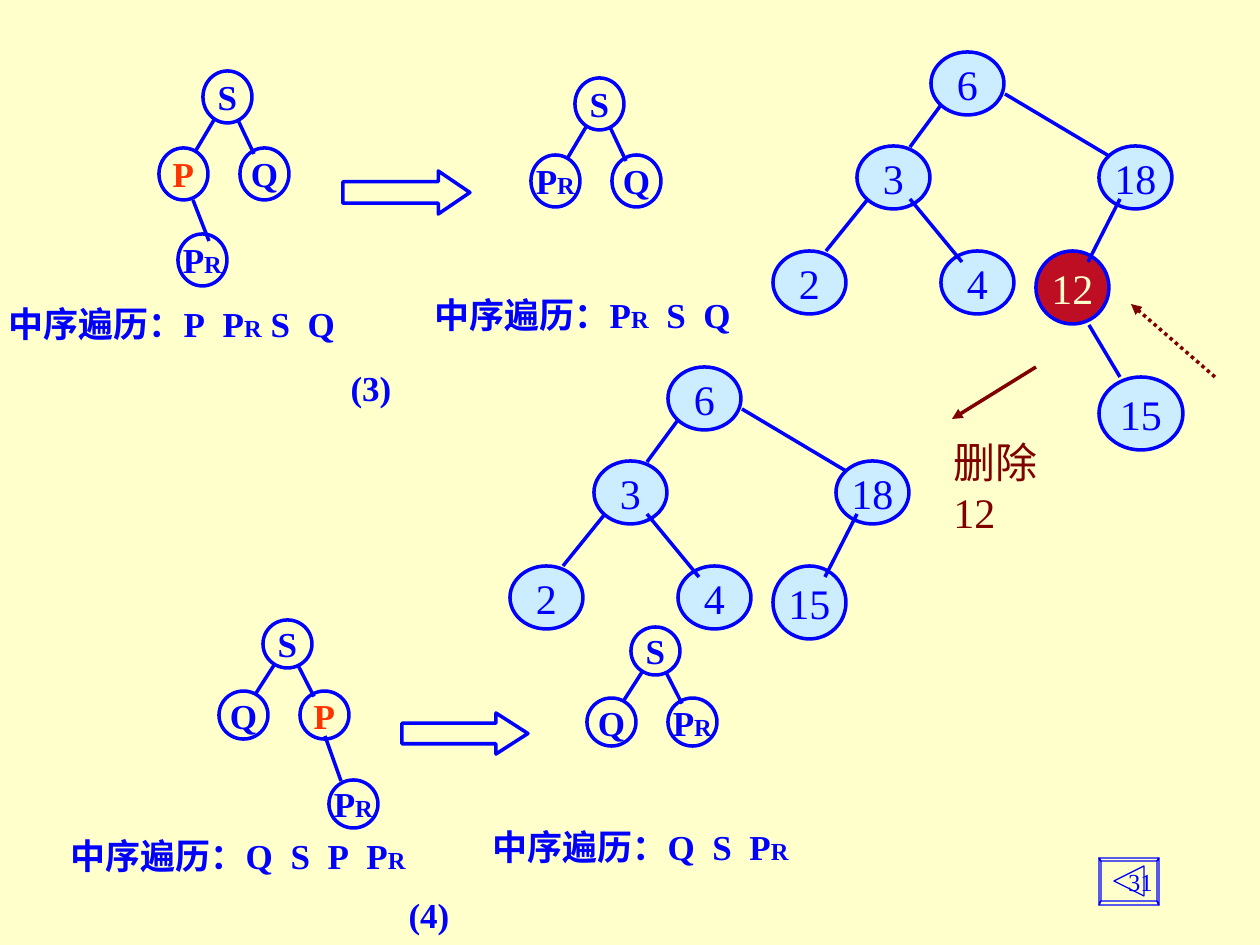
from lxml import etree
from pptx import Presentation
from pptx import util as u
from pptx.dml.color import RGBColor
from pptx.enum import dml, shapes, text
from pptx.oxml.ns import qn

PX = 914400 / 126
BLUE, RED, MAROON = "0000FF", "FF3300", "800000"
CREAM, SKY, CRIMSON = "FFFFCC", "CCECFF", "BE0E23"
GAP = chr(0x2002)  # en space between visited nodes
PR = ["P", "R"]


def emu(px):
    return u.Emu(round(px * PX))


def rgb(value):
    return RGBColor.from_string(value)


class Board:
    font = "Times New Roman"

    def __init__(self, slide):
        self.slide = slide

    def add_runs(self, shape, runs, size, color=BLUE, bold=False,
                 align=text.PP_ALIGN.CENTER, anchor=text.MSO_ANCHOR.MIDDLE, wrap=False):
        """Fill one paragraph; a run "R" is the small index letter."""
        frame = shape.text_frame
        frame.word_wrap = wrap
        frame.vertical_anchor = anchor
        paragraph = frame.paragraphs[0]
        paragraph.alignment = align
        for part in runs:
            run = paragraph.add_run()
            run.text = part
            run.font.name = self.font
            run.font.size = u.Pt(14 if part == "R" else size)
            run.font.bold = bold
            run.font.color.rgb = rgb(color)

    def outline(self, shape, fill=None, width=2):
        shape.shadow.inherit = False
        if fill:
            shape.fill.solid()
            shape.fill.fore_color.rgb = rgb(fill)
        else:
            shape.fill.background()
        shape.line.color.rgb = rgb(BLUE)
        shape.line.width = u.Pt(width)

    def preset(self, kind, box, fill=None):
        shape = self.slide.shapes.add_shape(kind, *map(emu, box))
        self.outline(shape, fill)
        return shape

    def node(self, box, runs, size=24, color=BLUE, fill=None, bold=False):
        shape = self.preset(shapes.MSO_SHAPE.OVAL, box, fill)
        self.add_runs(shape, runs, size, color, bold)

    def block_arrow(self, box, head):
        shape = self.preset(shapes.MSO_SHAPE.RIGHT_ARROW, box)
        shape.adjustments[0] = 0.5
        shape.adjustments[1] = head

    def line(self, start, end, color=BLUE, arrow=False, dash=None):
        connector = self.slide.shapes.add_connector(
            shapes.MSO_CONNECTOR.STRAIGHT, *map(emu, (*start, *end)))
        connector.line.color.rgb = rgb(color)
        connector.line.width = u.Pt(2)
        if dash:
            connector.line.dash_style = dash
        properties = connector._element.spPr
        if arrow:
            etree.SubElement(properties.find(qn("a:ln")), qn("a:tailEnd"), type="triangle")
        etree.SubElement(properties, qn("a:effectLst"))

    def label(self, box, runs, size=20, fit=True, **style):
        shape = self.slide.shapes.add_textbox(*map(emu, box))
        self.add_runs(shape, runs, size, **style)
        if fit:
            shape.text_frame.auto_size = text.MSO_AUTO_SIZE.SHAPE_TO_FIT_TEXT
        return shape

    def traversal(self, box, runs):
        self.label(box, runs, bold=True, align=text.PP_ALIGN.LEFT)

    def letter(self, x, y, height, runs, color=BLUE):
        self.node((x, y, 49, height), runs, 20, color, bold=True)

    def letter_tree(self, x, y, height, left, right):
        """Root S with two children, each given as (runs, colour)."""
        stretch = height / 52
        self.letter(x, y, height, "S")
        for shift, (runs, color) in ((-44, left), (37, right)):
            self.letter(x + shift, y + 77 * stretch, height, runs, color)
        for x1, x2, y2 in ((11, -8, 81), (35, 51, 83)):
            self.line((x + x1, y + 49 * stretch), (x + x2, y + y2 * stretch))

    def number_tree(self, x, y, last, color=BLUE, fill=SKY):
        """Search tree whose node under 18 varies."""
        for name, dx, dy in (("6", 0, 0), ("3", -74, 94), ("4", 10, 199),
                             ("2", -158, 199), ("18", 168, 94)):
            self.node((x + dx, y + dy, 73, 63), [name], fill=SKY)
        self.node((x + 105, y + 199, 73, 73), [last], color=color, fill=fill)
        for x1, y1, x2, y2 in ((10, 53, -21, 95), (-63, 147, -105, 199),
                               (-21, 147, 31, 210), (74, 42, 178, 104),
                               (189, 147, 157, 210)):
            self.line((x + x1, y + y1), (x + x2, y + y2))

    def back_button(self, outer, inner, triangle):
        """Bevelled frame with a left-pointing triangle."""
        sides = [(outer[i - 1], outer[i], inner[i], inner[i - 1]) for i in range(4)]
        builder = self.slide.shapes.build_freeform(*sides[0][0], scale=PX)
        for contour in (*sides, triangle):
            builder.move_to(*contour[0])
            builder.add_line_segments(contour[1:], close=True)
        self.outline(builder.convert_to_shape(), width=0.75)


def corners(left, top, right, bottom):
    return [(left, top), (right, top), (right, bottom), (left, bottom)]


def main():
    presentation = Presentation()
    presentation.slide_width, presentation.slide_height = emu(1260), emu(945)
    slide = presentation.slides.add_slide(presentation.slide_layouts[6])
    slide.background.fill.solid()
    slide.background.fill.fore_color.rgb = rgb(CREAM)
    board = Board(slide)

    # Case 3: the removed node is a left child
    board.traversal((-4, 296, 360, 55), [f"中序遍历：P{GAP}P", "R", f" S{GAP}Q"])
    board.letter_tree(575, 78, 52, (PR, BLUE), ("Q", BLUE))
    board.traversal((422, 287, 330, 55), ["中序遍历：P", "R", f"{GAP}S{GAP}Q"])
    board.block_arrow((343, 171, 127, 43), 0.735)
    board.label((338, 360, 66, 55), ["(3)"], bold=True)
    board.letter_tree(203, 71, 52, ("P", RED), ("Q", BLUE))
    board.letter(178, 234, 52, PR)
    board.line((193, 200), (209, 241))

    # Case 4: the removed node is a right child
    board.traversal((58, 828, 369, 55), [f"中序遍历：Q{GAP}S{GAP}P{GAP}P", "R"])
    board.letter_tree(631, 627, 48, ("Q", BLUE), (PR, BLUE))
    board.traversal((480, 819, 330, 55), [f"中序遍历：Q{GAP}S{GAP}P", "R"])
    board.block_arrow((402, 713, 126, 41), 0.779)
    board.label((396, 887, 66, 55), ["(4)"], bold=True)
    board.letter_tree(263, 620, 48, ("Q", BLUE), ("P", RED))
    board.letter(329, 780, 48, PR)
    board.line((325, 736), (341, 781))

    board.back_button(corners(1099, 858, 1159, 905), corners(1101, 861, 1157, 901),
                      [(1114, 881), (1144, 866), (1144, 896)])

    # Deleting 12 from the number tree
    board.number_tree(931, 52, "12", CREAM, CRIMSON)
    board.node((1099, 377, 84, 73), ["15"], fill=SKY)
    board.line((1089, 325), (1120, 377))
    caption = board.label((941, 430, 158, 113), ["删除12"], 24, color=MAROON, wrap=True,
                          align=text.PP_ALIGN.LEFT, anchor=text.MSO_ANCHOR.TOP)
    caption.text_frame.margin_right = emu(36)
    board.line((1215, 377), (1131, 304), MAROON, True, dml.MSO_LINE.ROUND_DOT)
    board.number_tree(668, 367, "15")
    board.line((1036, 367), (952, 419), MAROON, True)

    board.label((903, 861, 262, 63), ["31"], 14, fit=False, wrap=True,
                align=text.PP_ALIGN.RIGHT, anchor=text.MSO_ANCHOR.TOP)
    presentation.save("out.pptx")


if __name__ == "__main__":
    main()
